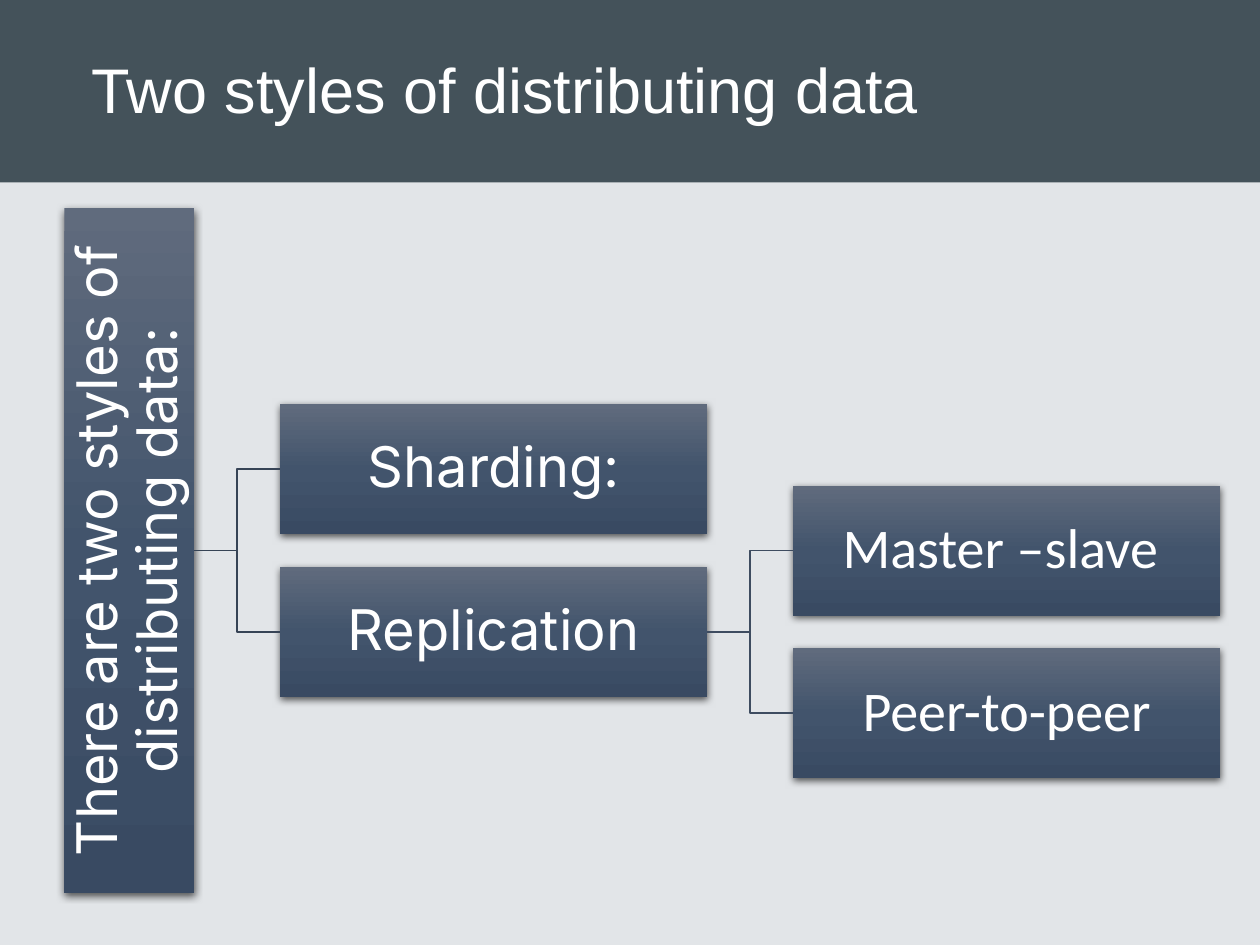
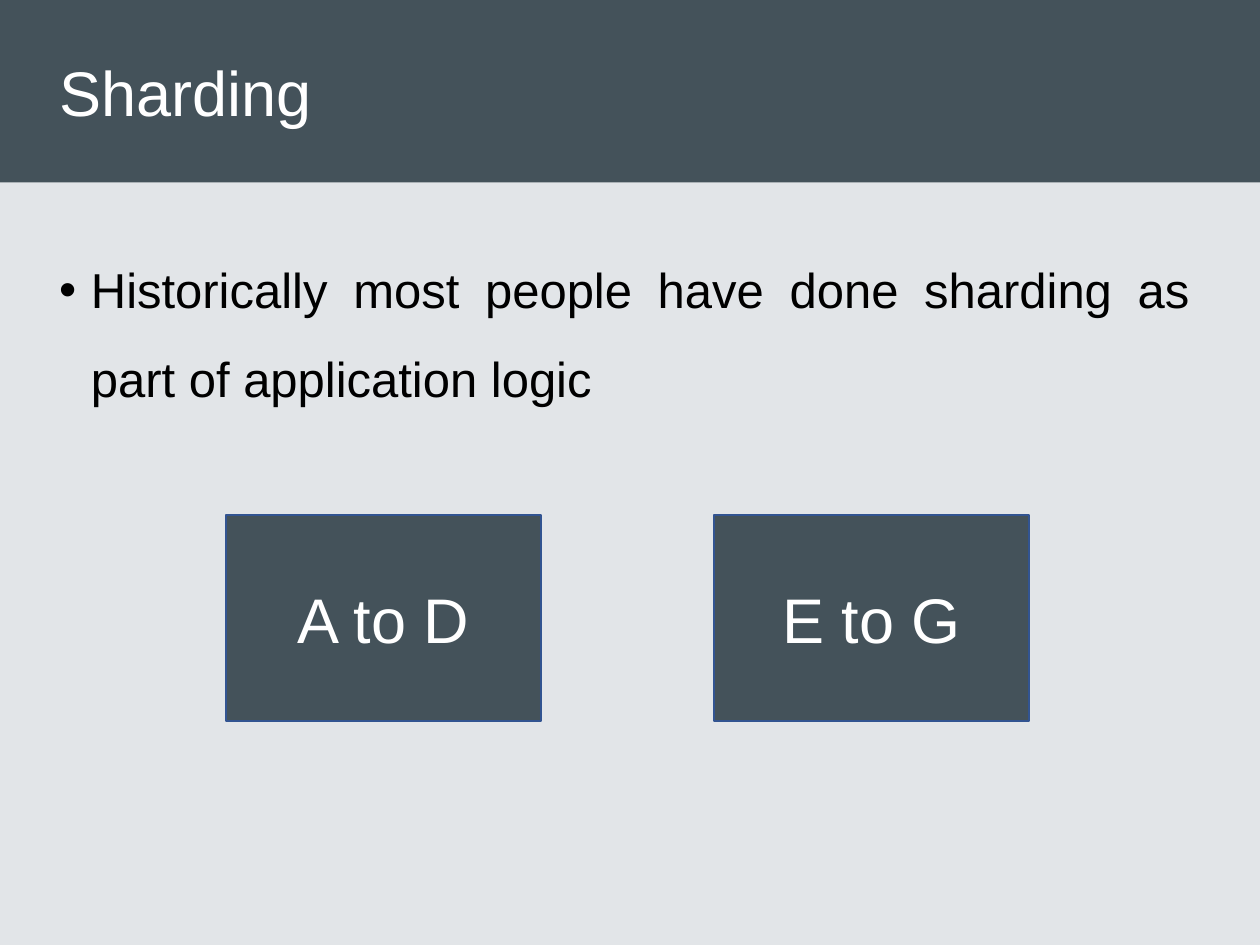
from copy import deepcopy
from dataclasses import dataclass

from lxml import etree
from pptx import Presentation
from pptx.dml.color import RGBColor
from pptx.enum import shapes, text
from pptx.oxml import ns
from pptx.util import Cm, Pt

SLATE = RGBColor(0x44, 0x52, 0x5A)
PALE = RGBColor(0xE2, 0xE5, 0xE8)
WHITE = RGBColor(0xFF, 0xFF, 0xFF)
BLACK = RGBColor(0x00, 0x00, 0x00)
OUTLINE = RGBColor(0x32, 0x54, 0x91)
ROOT_LINK = RGBColor(0x36, 0x43, 0x55)
BRANCH_LINK = RGBColor(0x3E, 0x4C, 0x60)
GRADIENT = (
    (0.0, RGBColor(0x60, 0x6B, 0x7D)),
    (0.5, RGBColor(0x42, 0x54, 0x6C)),
    (1.0, RGBColor(0x39, 0x4A, 0x62)),
)

PAGE_WIDTH, PAGE_HEIGHT = Cm(25.4), Cm(19.05)
BAND_HEIGHT = Cm(3.68)

NODE_WIDTH, NODE_HEIGHT = Cm(8.61), Cm(2.62)
ROOT_LENGTH = Cm(13.82)
COLUMN_GAP, ROW_PITCH = Cm(1.73), Cm(3.28)
TREE_LEFT, TREE_MIDDLE = Cm(1.3), Cm(11.1)

SHARD_TOP, SHARD_WIDTH, SHARD_HEIGHT = Cm(10.39), Cm(6.35), Cm(4.14)


@dataclass(frozen=True)
class TextStyle:
    size: int
    color: RGBColor = WHITE
    font: str = "Arial"


@dataclass(frozen=True)
class Node:
    label: str
    font: str = "Inter"
    children: tuple["Node", ...] = ()
    link_color: RGBColor = BRANCH_LINK
    upright: bool = False


@dataclass(frozen=True)
class Shard:
    label: str
    left: Cm


HEADING = TextStyle(36)
BULLET = TextStyle(28, BLACK)

STYLES_TREE = Node(
    "There are two styles of distributing data:",
    children=(
        Node("Sharding:"),
        Node(
            "Replication",
            children=(Node("Master –slave ", "Calibri"), Node("Peer-to-peer", "Calibri")),
        ),
    ),
    link_color=ROOT_LINK,
    upright=True,
)
SHARDS = (Shard("A to D", Cm(4.56)), Shard("E to G", Cm(14.4)))


def write(frame, words: str, style: TextStyle, align: text.PP_ALIGN):
    """Fill the first paragraph of a text frame with one run and return it."""
    para = frame.paragraphs[0]
    para.alignment = align
    span = para.add_run()
    span.text = words
    span.font.size = Pt(style.size)
    span.font.name = style.font
    span.font.color.rgb = style.color
    return para


def place(box, left: int, top: int, width: int, height: int) -> None:
    box.left, box.top, box.width, box.height = left, top, width, height


def add_rectangle(page, left: int, top: int, width: int, height: int):
    """Add a flat slate rectangle with no outline, its text centred vertically."""
    box = page.shapes.add_shape(shapes.MSO_SHAPE.RECTANGLE, left, top, width, height)
    box.shadow.inherit = False
    box.fill.solid()
    box.fill.fore_color.rgb = SLATE
    box.line.fill.background()
    box.text_frame.word_wrap = True
    box.text_frame.vertical_anchor = text.MSO_ANCHOR.MIDDLE
    return box


def style_master(deck, page) -> None:
    """Give every page the pale background and the dark title band."""
    master = deck.slide_master
    master.background.fill.solid()
    master.background.fill.fore_color.rgb = PALE
    band = add_rectangle(page, 0, 0, PAGE_WIDTH, BAND_HEIGHT)
    master.shapes._spTree.insert(2, band._element)


def set_title(page, words: str, left: Cm, width: Cm, height: Cm) -> None:
    title = page.shapes.title
    place(title, left, 0, width, height)
    frame = title.text_frame
    frame.vertical_anchor = text.MSO_ANCHOR.MIDDLE
    frame.auto_size = text.MSO_AUTO_SIZE.NONE
    write(frame, words, HEADING, text.PP_ALIGN.LEFT)


def shade(box) -> None:
    """Apply the three-stop gradient and the soft shadow below."""
    box.fill.gradient()
    box.fill.gradient_angle = 270
    properties = box._element.spPr
    stops = properties.find(".//" + ns.qn("a:gsLst"))
    stops.append(deepcopy(stops[0]))
    for stop, (position, color) in zip(box.fill.gradient_stops, GRADIENT):
        stop.position = position
        stop.color.rgb = color
    shadow = etree.SubElement(
        properties.find(ns.qn("a:effectLst")),
        ns.qn("a:outerShdw"),
        blurRad=str(Pt(4.5)),
        dist=str(Pt(1.5)),
        dir="5400000",
        algn="ctr",
        rotWithShape="0",
    )
    black = etree.SubElement(shadow, ns.qn("a:srgbClr"), val=str(BLACK))
    etree.SubElement(black, ns.qn("a:alpha"), val="63000")


def add_link(page, parent, child, color: RGBColor) -> None:
    link = page.shapes.add_connector(
        shapes.MSO_CONNECTOR.ELBOW,
        parent.left + parent.width,
        parent.top + parent.height // 2,
        child.left,
        child.top + child.height // 2,
    )
    link.begin_connect(parent, 3)
    link.end_connect(child, 1)
    link.line.color.rgb = color
    link.line.width = Pt(1)
    etree.SubElement(link._element.spPr, ns.qn("a:effectLst"))


def add_tree(page, node: Node, left: int, middle: int):
    """Draw a node and, in the next column, its children centred on it."""
    width, height = (NODE_HEIGHT, ROOT_LENGTH) if node.upright else (NODE_WIDTH, NODE_HEIGHT)
    box = add_rectangle(page, left, middle - height // 2, width, height)
    shade(box)
    frame = box.text_frame
    frame.margin_left = frame.margin_right = Cm(0.05)
    frame.margin_top = frame.margin_bottom = Cm(0.05)
    if node.upright:
        frame._txBody.bodyPr.set("vert", "vert270")
    para = write(frame, node.label, TextStyle(32, font=node.font), text.PP_ALIGN.CENTER)
    para.line_spacing = 0.9

    first = middle - ROW_PITCH * (len(node.children) - 1) // 2
    for row, child in enumerate(node.children):
        child_box = add_tree(page, child, left + width + COLUMN_GAP, first + row * ROW_PITCH)
        add_link(page, box, child_box, node.link_color)
    return box


def add_shard(page, shard: Shard) -> None:
    box = add_rectangle(page, shard.left, SHARD_TOP, SHARD_WIDTH, SHARD_HEIGHT)
    box.line.color.rgb = OUTLINE
    box.line.width = Pt(1)
    write(box.text_frame, shard.label, HEADING, text.PP_ALIGN.CENTER)


def set_bullet(page, words: str) -> None:
    body = page.placeholders[1]
    place(body, Cm(0.94), Cm(4.52), Cm(23.29), Cm(13.89))
    body.text_frame.auto_size = text.MSO_AUTO_SIZE.NONE
    para = write(body.text_frame, words, BULLET, text.PP_ALIGN.JUSTIFY)
    para.line_spacing = 1.5
    para.space_before = Pt(10)
    properties = para._p.get_or_add_pPr()
    properties.set("marL", str(Cm(0.64)))
    properties.set("indent", str(-Cm(0.64)))


def main() -> None:
    deck = Presentation()
    deck.slide_width, deck.slide_height = PAGE_WIDTH, PAGE_HEIGHT

    styles_page = deck.slides.add_slide(deck.slide_layouts.get_by_name("Title Only"))
    style_master(deck, styles_page)
    set_title(styles_page, " Two styles of distributing data", Cm(1.27), Cm(23.34), Cm(3.56))
    add_tree(styles_page, STYLES_TREE, TREE_LEFT, TREE_MIDDLE)

    sharding_page = deck.slides.add_slide(deck.slide_layouts.get_by_name("Title and Content"))
    set_title(sharding_page, "Sharding", Cm(0.94), Cm(23.29), BAND_HEIGHT)
    set_bullet(
        sharding_page,
        "Historically most people have done sharding as part of application logic",
    )
    for shard in SHARDS:
        add_shard(sharding_page, shard)

    deck.save("out.pptx")


if __name__ == "__main__":
    main()
